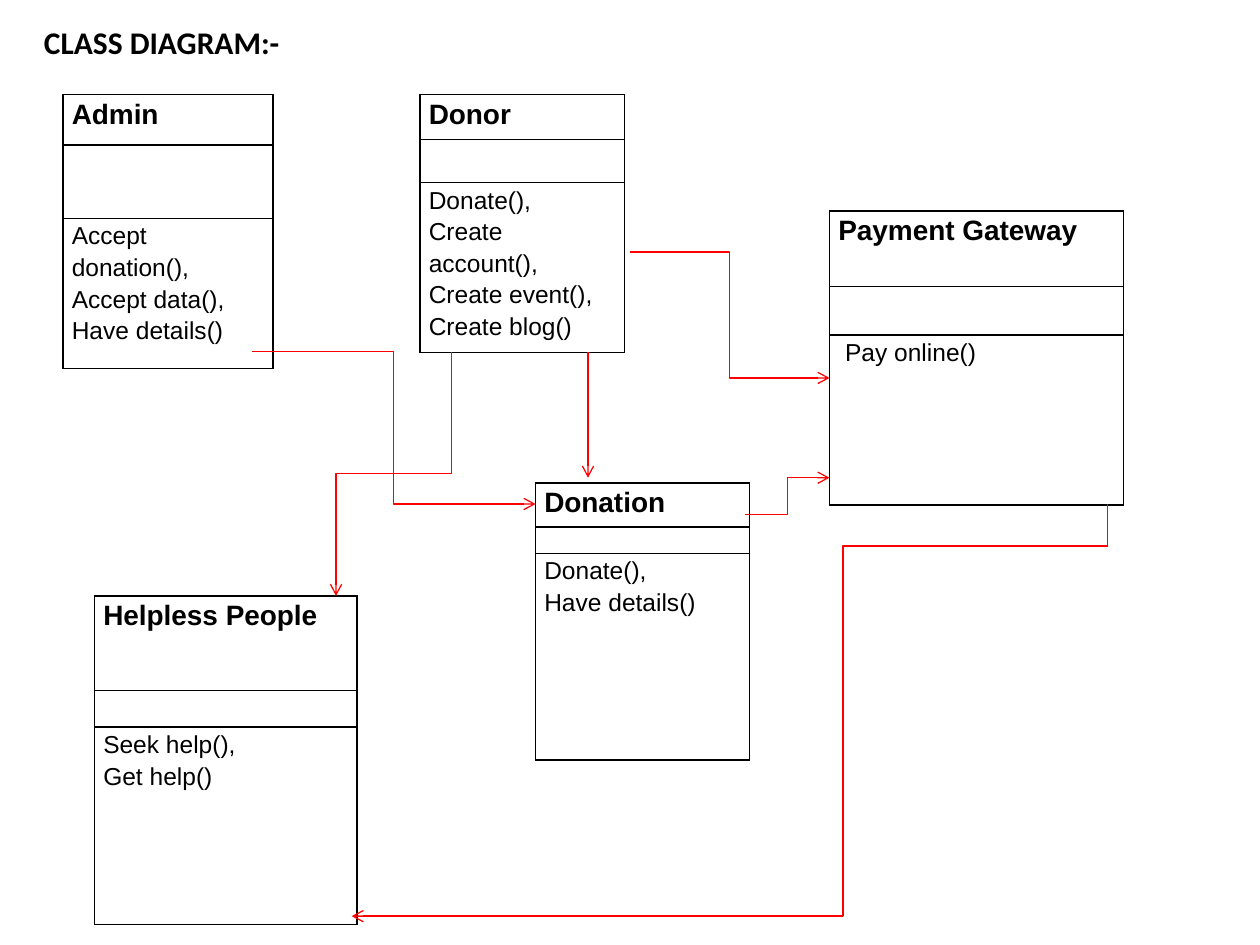
from lxml import etree
from pptx import Presentation
from pptx.dml.color import RGBColor
from pptx.enum.shapes import MSO_CONNECTOR
from pptx.enum.text import MSO_AUTO_SIZE
from pptx.oxml.ns import qn
from pptx.util import Inches, Pt

STRAIGHT = MSO_CONNECTOR.STRAIGHT
ELBOW = MSO_CONNECTOR.ELBOW
FIT_SHAPE = MSO_AUTO_SIZE.SHAPE_TO_FIT_TEXT
BLACK, RED = "000000", "FF0000"
GRID_PER_INCH = 12

# left, top, width, compartment heights, class name, operations
CLASSES = [
    (6, 9, 20, (4.8, 7, 14.3), "Admin",
     "Accept donation(),\nAccept data(),\nHave details()"),
    (40, 9, 19.5, (4.3, 4.1, 16.2), "Donor",
     "Donate(),\nCreate account(),\nCreate event(),\nCreate blog()"),
    (9, 56.75, 25, (9, 3.5, 18.8), "Helpless People",
     "Seek help(),\nGet help()"),
    (51, 46, 20.4, (4.2, 2.5, 19.7), "Donation",
     "Donate(),\nHave details()"),
    (79, 20.1, 28, (7.2, 4.6, 16.2), "Payment Gateway",
     " Pay online()"),
]


def grid(units):
    return Inches(units / GRID_PER_INCH)


def color(hex_code):
    return RGBColor.from_string(hex_code)


def write(frame, text, size, font="Arial", bold=False, spacing=None, after=None):
    paragraph = frame.paragraphs[0]
    paragraph.text = text
    paragraph.line_spacing = spacing
    if after is not None:
        paragraph.space_after = Pt(after)
    for run in paragraph.runs:
        run.font.name = font
        run.font.size = Pt(size)
        run.font.bold = bold
        run.font.color.rgb = color(BLACK)
    for line_break in paragraph._p.findall(qn("a:br")):
        etree.SubElement(line_break, qn("a:rPr"), sz=str(size * 100))
    if not text:
        etree.SubElement(paragraph._p, qn("a:endParaRPr"), sz=str(size * 100))


def outline(cell):
    properties = cell._tc.get_or_add_tcPr()
    for side in ("a:lnL", "a:lnR", "a:lnT", "a:lnB"):
        border = etree.SubElement(properties, qn(side), w=str(Pt(1)))
        paint = etree.SubElement(border, qn("a:solidFill"))
        etree.SubElement(paint, qn("a:srgbClr"), val=BLACK)
    cell.fill.background()


def class_box(slide, left, top, width, heights, name, operations):
    table = slide.shapes.add_table(
        3, 1, grid(left), grid(top), grid(width), grid(sum(heights))).table
    table.first_row = table.horz_banding = False
    table.columns[0].width = grid(width)
    compartments = ((name, 16, True), ("", 10, False), (operations, 14, False))
    for index, (text, size, bold) in enumerate(compartments):
        table.rows[index].height = grid(heights[index])
        cell = table.cell(index, 0)
        cell.margin_left = cell.margin_right = Inches(0.07)
        cell.margin_top = cell.margin_bottom = 0
        outline(cell)
        if text:
            write(cell.text_frame, text, size, bold=bold, spacing=1.15, after=10)
        else:
            write(cell.text_frame, text, size)


def link(slide, start, end, kind=ELBOW, arrow=True, upright=False, bend=None):
    (x1, y1), (x2, y2) = start, end
    if upright:
        middle_x, middle_y = (x1 + x2) / 2, (y1 + y2) / 2
        half_x, half_y = (y2 - y1) / 2, (x1 - x2) / 2
        x1, x2 = middle_x - half_x, middle_x + half_x
        y1, y2 = middle_y - half_y, middle_y + half_y
    connector = slide.shapes.add_connector(kind, grid(x1), grid(y1), grid(x2), grid(y2))
    connector.line.color.rgb = color(RED)
    connector.line.width = Pt(0.75)
    properties = connector._element.spPr
    if upright:
        properties.find(qn("a:xfrm")).set("rot", str(90 * 60000))
    if bend is not None:
        adjustments = properties.find(qn("a:prstGeom")).find(qn("a:avLst"))
        etree.SubElement(adjustments, qn("a:gd"), name="adj1",
                         fmla=f"val {round(bend * 100000)}")
    if arrow:
        etree.SubElement(properties.find(qn("a:ln")), qn("a:tailEnd"), type="arrow")
    etree.SubElement(properties, qn("a:effectLst"))


def title(slide, text):
    box = slide.shapes.add_textbox(Inches(0.25), Inches(0.13), Inches(2.09), Inches(0.4))
    box.text_frame.word_wrap = False
    box.text_frame.auto_size = FIT_SHAPE
    write(box.text_frame, text, 18, font="Calibri", bold=True)


def main():
    deck = Presentation()
    deck.slide_width, deck.slide_height = Inches(10), Inches(7.5)
    slide = deck.slides.add_slide(deck.slide_layouts[6])
    title(slide, "CLASS DIAGRAM:-")
    for entry in CLASSES:
        class_box(slide, *entry)
    link(slide, (43, 33.5), (32, 56.75), upright=True)
    link(slide, (24, 33.5), (51, 48))
    link(slide, (56, 33.5), (56, 45.5), kind=STRAIGHT)
    link(slide, (60, 24), (79, 36))
    link(slide, (71, 49), (79, 45.5))
    link(slide, (105.5, 52), (33.5, 87.25), bend=0.35)
    link(slide, (105.5, 52), (105.5, 48), kind=STRAIGHT, arrow=False)
    deck.save("out.pptx")


if __name__ == "__main__":
    main()
